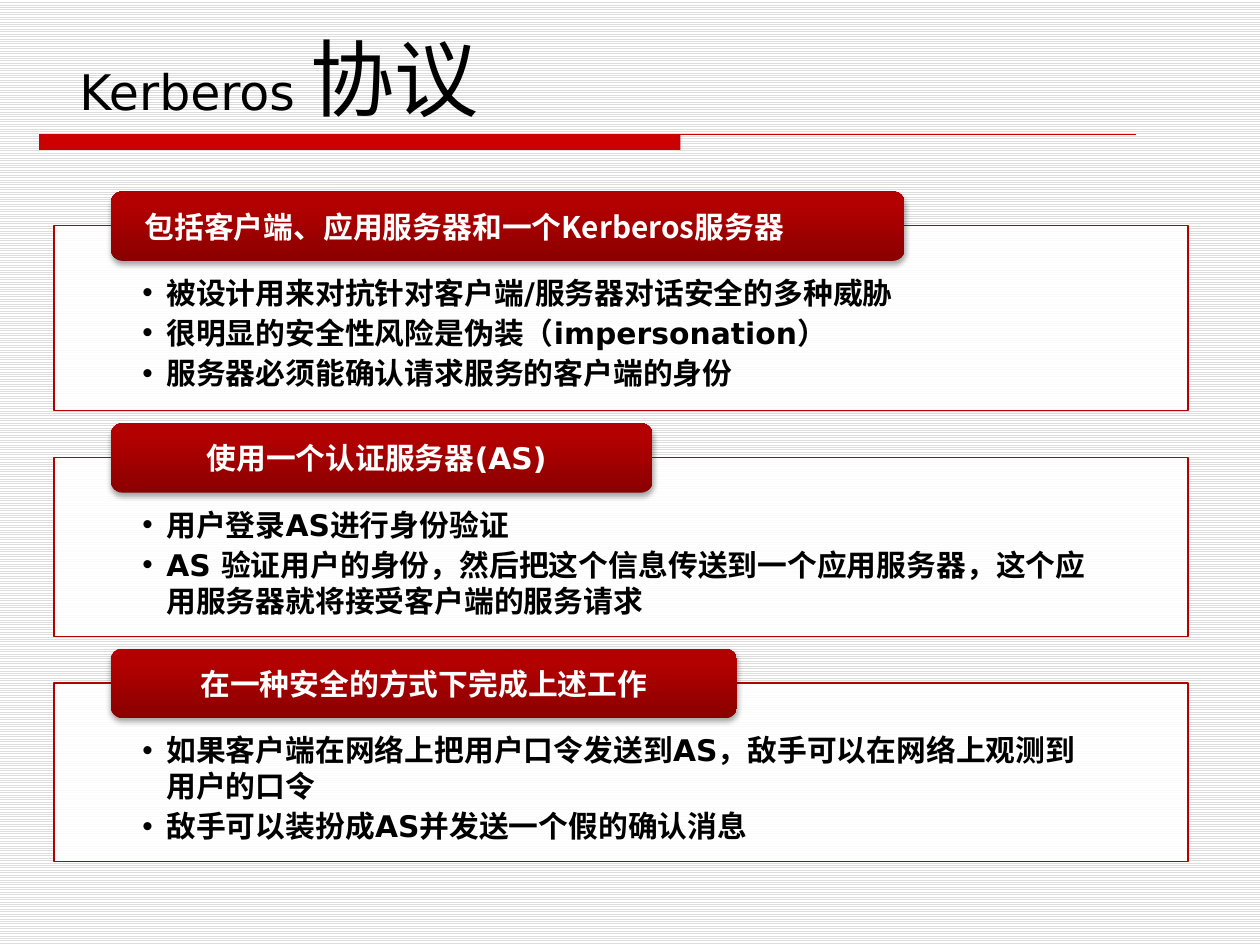
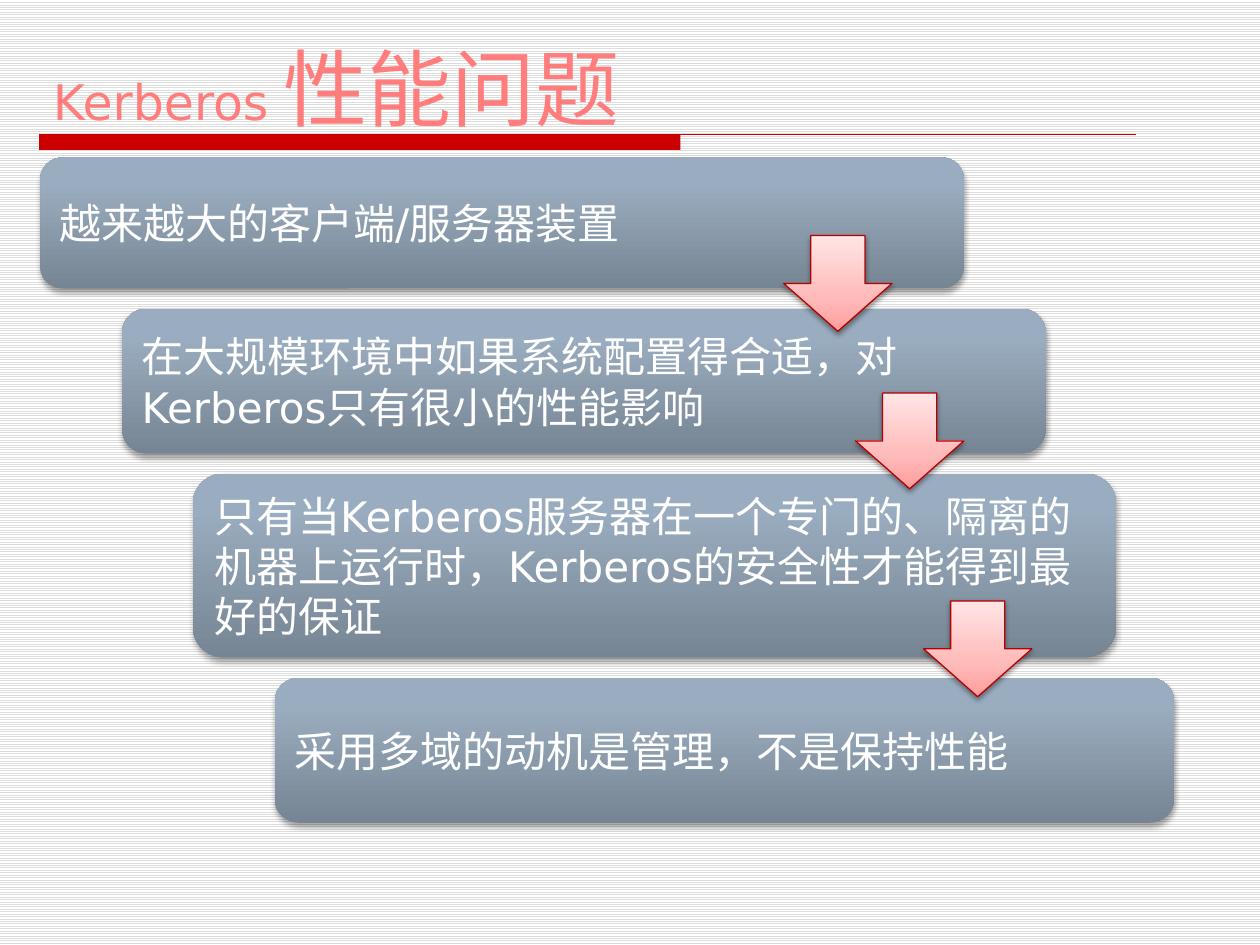
from pptx import Presentation
from pptx.dml.color import RGBColor
from pptx.enum import dml, shapes, text
from pptx.oxml import parse_xml
from pptx.oxml.ns import nsdecls, qn
from pptx.util import Inches, Pt
from lxml import etree

# Shared look
COLORS = {
    "black": "000000", "white": "FFFFFF", "stripe": "DDDDDD",
    "band": "CC0000", "edge": "B50000", "pink": "FF7D7D",
}
GRADIENTS = {
    "label": [(0, "8A0000"), (80, "B30000"), (100, "B40000")],
    "step": [(0, "768593"), (80, "9AACBF"), (100, "9AADC1")],
    "arrow": [(0, "FF9D9D"), (35, "FFBABA"), (100, "FFE5E5")],
}
LATIN, CJK = "DejaVu Sans", "Noto Sans CJK SC"
SHAPE = shapes.MSO_SHAPE
ANCHOR = text.MSO_ANCHOR
ALIGN = text.PP_ALIGN


def rgb(name):
    return RGBColor.from_string(COLORS[name])


# Formatting helpers
def add_run(p, words, color, **fmt):
    r = p.add_run()
    r.text = words
    for key, value in {"name": LATIN, **fmt}.items():
        setattr(r.font, key, value)
    r.font.color.rgb = rgb(color)
    etree.SubElement(r.font._element, qn("a:ea")).set("typeface", CJK)


def format_frame(tf, anchor, insets=(0.1, 0.05, 0.1, 0.05)):
    sides = ("left", "top", "right", "bottom")
    fmt = {f"margin_{side}": Inches(v) for side, v in zip(sides, insets)}
    fmt.update(word_wrap=True, auto_size=text.MSO_AUTO_SIZE.NONE,
               vertical_anchor=anchor)
    for key, value in fmt.items():
        setattr(tf, key, value)


def set_bullet(p):
    pPr = p._p.get_or_add_pPr()
    pPr.set("marL", str(Inches(0.19)))
    pPr.set("indent", str(-Inches(0.19)))
    etree.SubElement(pPr, qn("a:buFont")).set("typeface", "Arial")
    etree.SubElement(pPr, qn("a:buChar")).set("char", "•")


def set_gradient(sp, name):
    stops = "".join(
        f'<a:gs pos="{pos * 1000}"><a:srgbClr val="{color}"/></a:gs>'
        for pos, color in GRADIENTS[name])
    sp._element.spPr.find(qn("a:prstGeom")).addnext(parse_xml(
        f'<a:gradFill {nsdecls("a")} rotWithShape="1"><a:gsLst>{stops}</a:gsLst>'
        '<a:lin ang="16200000" scaled="0"/></a:gradFill>'))


def set_shadow(sp, alpha, dist):
    sp._element.spPr.find(qn("a:effectLst")).append(parse_xml(
        f'<a:outerShdw {nsdecls("a")} blurRad="{Pt(3.1)}" dist="{Pt(dist)}" '
        'dir="5400000" rotWithShape="0"><a:srgbClr val="000000">'
        f'<a:alpha val="{alpha * 1000}"/></a:srgbClr></a:outerShdw>'))


def set_line(sp, color):
    sp.line.color.rgb = rgb(color)
    sp.line.width = Pt(0.75)


# Elements
def add_shape(slide, kind, box):
    sp = slide.shapes.add_shape(kind, *map(Inches, box))
    sp.shadow.inherit = False
    sp.line.fill.background()
    return sp


def add_glossy(slide, kind, box, gradient, alpha=35, dist=1.8):
    sp = add_shape(slide, kind, box)
    set_gradient(sp, gradient)
    set_shadow(sp, alpha, dist)
    return sp


def add_band(slide):
    bar = add_shape(slide, SHAPE.RECTANGLE, (0.31, 1.07, 5.09, 0.12))
    bar.fill.solid()
    bar.fill.fore_color.rgb = rgb("band")
    rule = slide.shapes.add_connector(
        shapes.MSO_CONNECTOR.STRAIGHT,
        *map(Inches, (0.31, 1.07, 9.02, 1.07)))
    set_line(rule, "band")
    etree.SubElement(rule._element.spPr, qn("a:effectLst"))


def add_slide(prs, topic, box, color):
    slide = prs.slides.add_slide(prs.slide_layouts[5])
    fill = slide.background.fill
    fill.patterned()
    fill.pattern = dml.MSO_PATTERN.LIGHT_HORIZONTAL
    fill.fore_color.rgb = rgb("stripe")
    fill.back_color.rgb = rgb("white")
    add_band(slide)

    title = slide.shapes.title
    for key, value in zip(("left", "top", "width", "height"), box):
        setattr(title, key, Inches(value))
    format_frame(title.text_frame, ANCHOR.BOTTOM)
    p = title.text_frame.paragraphs[0]
    p.alignment = ALIGN.LEFT
    add_run(p, "Kerberos ", color, size=Pt(28))
    add_run(p, topic, color, size=Pt(48))
    return slide


def add_panel(slide, top, height, points):
    sp = add_shape(slide, SHAPE.RECTANGLE, (0.43, top, 9, height))
    sp.fill.solid()
    sp.fill.fore_color.rgb = rgb("white")
    clr = sp._element.spPr.find(qn("a:solidFill"))[0]
    etree.SubElement(clr, qn("a:alpha")).set("val", "90000")
    set_line(sp, "edge")
    tf = sp.text_frame
    format_frame(tf, ANCHOR.TOP, (0.7, 0.39, 0.7, 0.13))
    for i, point in enumerate(points):
        p = tf.add_paragraph() if i else tf.paragraphs[0]
        p.alignment = ALIGN.LEFT
        p.space_after = Pt(2.5)
        set_bullet(p)
        add_run(p, point, "black", size=Pt(17), bold=True)


def add_label(slide, top, width, align, runs):
    sp = add_glossy(slide, SHAPE.ROUNDED_RECTANGLE,
                    (0.88, top, width, 0.55), "label")
    format_frame(sp.text_frame, ANCHOR.MIDDLE, (0.24, 0, 0.24, 0))
    p = sp.text_frame.paragraphs[0]
    p.alignment = align
    for words, font in runs:
        add_run(p, words, "white", name=font, size=Pt(17), bold=True)


def add_step(slide, box, words):
    sp = add_glossy(slide, SHAPE.ROUNDED_RECTANGLE, box, "step")
    format_frame(sp.text_frame, ANCHOR.MIDDLE)
    p = sp.text_frame.paragraphs[0]
    p.alignment = ALIGN.LEFT
    add_run(p, words, "white", size=Pt(24))


def add_arrow(slide, left, top):
    sp = add_glossy(slide, SHAPE.DOWN_ARROW, (left, top, 0.86, 0.76),
                    "arrow", alpha=38, dist=1.6)
    set_line(sp, "edge")


# Slides
def build_protocol(prs):
    slide = add_slide(prs, "协议", (0.53, -0.19, 9.5, 1.25), "black")
    sections = [
        (1.47, 6.3, ALIGN.LEFT,
         [("包括客户端、应用服务器和一个Kerberos服务器", CJK)],
         ["被设计用来对抗针对客户端/服务器对话安全的多种威胁",
          "很明显的安全性风险是伪装（impersonation）",
          "服务器必须能确认请求服务的客户端的身份"]),
        (1.42, 4.3, ALIGN.CENTER,
         [("使用一个认证服务器", CJK), ("(AS) ", LATIN)],
         ["用户登录AS进行身份验证",
          "AS 验证用户的身份，然后把这个信息传送到一个应用服务器，"
          "这个应用服务器就将接受客户端的服务请求"]),
        (1.42, 4.97, ALIGN.CENTER,
         [("在一种安全的方式下完成上述工作", CJK)],
         ["如果客户端在网络上把用户口令发送到AS，敌手可以在网络上观测到用户的口令",
          "敌手可以装扮成AS并发送一个假的确认消息"]),
    ]
    top, gap = 1.79, 0.37
    for height, width, align, heading, points in sections:
        add_panel(slide, top, height, points)
        add_label(slide, top - 0.27, width, align, heading)
        top += height + gap


def build_performance(prs):
    slide = add_slide(prs, "性能问题", (0.32, 0.21, 9, 0.93), "pink")
    steps = [
        (0.32, 7.33, 1.04, "越来越大的客户端/服务器装置"),
        (0.97, 7.33, 1.15,
         "在大规模环境中如果系统配置得合适，对Kerberos只有很小的性能影响"),
        (1.53, 7.33, 1.46,
         "只有当Kerberos服务器在一个专门的、隔离的机器上运行时，"
         "Kerberos的安全性才能得到最好的保证"),
        (2.18, 7.14, 1.15, "采用多域的动机是管理，不是保持性能"),
    ]
    top, gap = 1.25, 0.16
    for left, width, height, words in steps:
        add_step(slide, (left, top, width, height), words)
        top += height + gap
    for left, arrow_top in [(6.22, 1.87), (6.79, 3.12), (7.33, 4.77)]:
        add_arrow(slide, left, arrow_top)


def main():
    prs = Presentation()
    prs.slide_width, prs.slide_height = Inches(10), Inches(7.5)
    build_protocol(prs)
    build_performance(prs)
    prs.save("out.pptx")


if __name__ == "__main__":
    main()
